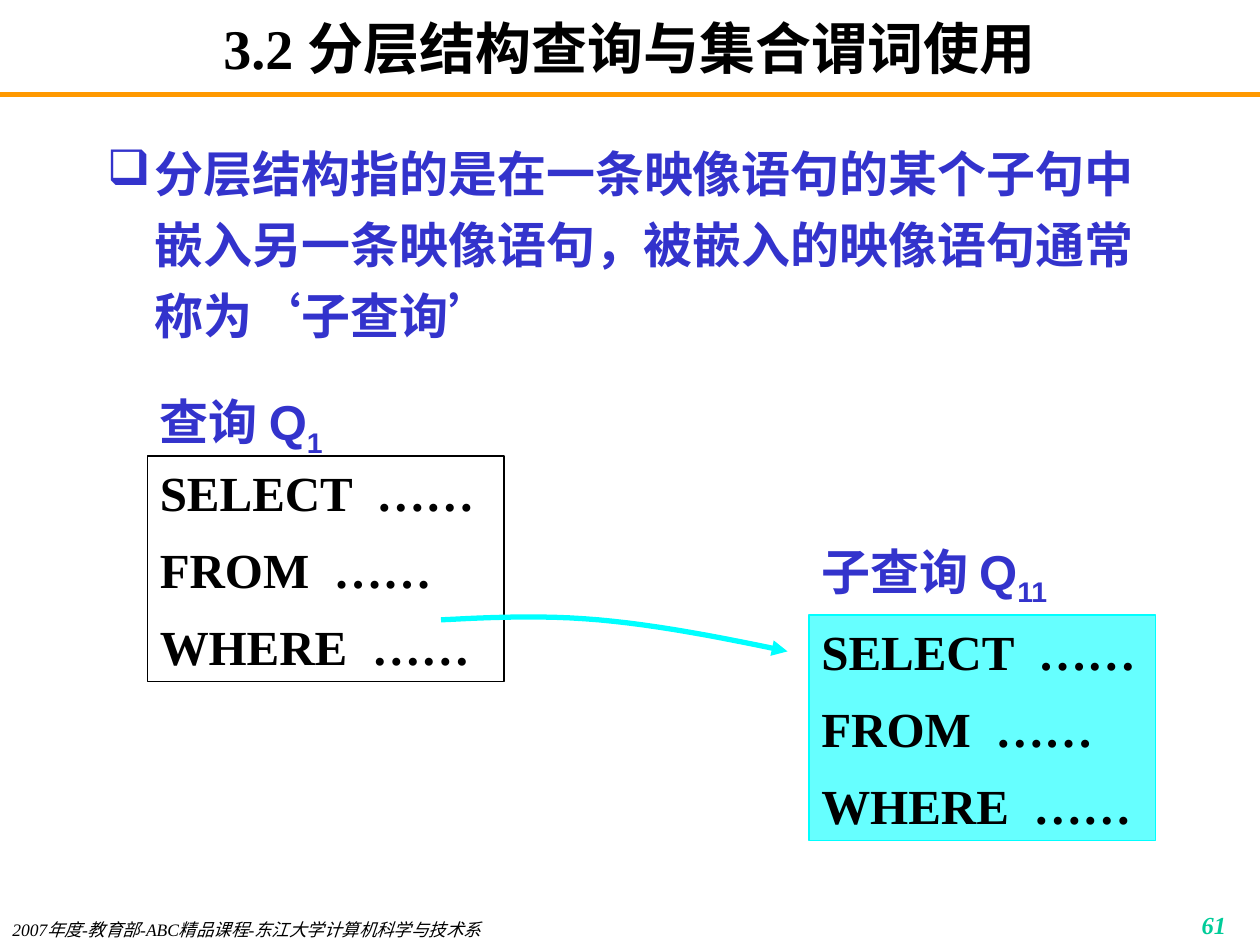
from dataclasses import dataclass
from typing import Optional

from lxml.etree import SubElement
from pptx import Presentation
from pptx.dml.color import RGBColor
from pptx.enum.shapes import MSO_CONNECTOR, MSO_SHAPE
from pptx.enum.text import MSO_ANCHOR, PP_ALIGN
from pptx.oxml.ns import qn
from pptx.util import Inches, Pt

COLORS = {
    "black": "000000",
    "blue": "3333CC",
    "orange": "FF9900",
    "green": "00CC99",
    "cyan": "00FFFF",
    "pale_cyan": "66FFFF",
}
SERIF = "Times New Roman"
SANS = "Arial"


@dataclass
class Label:
    text: str
    box: tuple[float, float, float, float]
    size: float
    color: str = "black"
    font: str = SERIF
    bold: bool = True
    italic: bool = False
    align: PP_ALIGN = PP_ALIGN.LEFT
    anchor: MSO_ANCHOR = MSO_ANCHOR.TOP
    space_before: float = 0
    inset_y: float = 0.05
    subscript: str = ""


@dataclass
class Query:
    name: str
    index: str
    left: float
    name_top: float
    top: float
    width: float
    line: str
    fill: Optional[str] = None


LABELS = [
    Label("2007年度-教育部-ABC精品课程-东江大学计算机科学与技术系", (0, 7.29, 6.26, 0.21), 10,
          bold=False, italic=True, inset_y=0),
    Label("61", (7.75, 7.17, 2.08, 0.25), 14, "green", italic=True, align=PP_ALIGN.RIGHT),
    Label("3.2 分层结构查询与集合谓词使用", (0.75, 0.08, 8.5, 0.58), 32,
          align=PP_ALIGN.CENTER, anchor=MSO_ANCHOR.MIDDLE),
]
QUERIES = [
    Query("查询 Q", "1", 1.17, 3.06, 3.62, 2.83, "black"),
    Query("子查询 Q", "11", 6.42, 4.25, 4.88, 2.75, "cyan", "pale_cyan"),
]
CLAUSES = "\n".join(f"{word}  ……" for word in ("SELECT", "FROM", "WHERE"))
DEFINITION = [
    ("分层结构指的是", SERIF),
    ("在一条映像语句的某个子句中嵌入另一条映像语句，被嵌入的映像语句通常称为‘子查询’", SANS),
]
ARROW_CURVES = [
    ((3.5, 4.92), (3.9, 4.9), (4.29, 4.88), (4.75, 4.92)),
    ((4.75, 4.92), (5.21, 4.96), (5.73, 5.06), (6.25, 5.17)),
]
CURVE_STEPS = 12


def rgb(name: str) -> RGBColor:
    return RGBColor.from_string(COLORS[name])


def style_line(s, color: str, width: float) -> None:
    s.line.color.rgb = rgb(color)
    s.line.width = Pt(width)


def fill_text(s, label: Label) -> None:
    tf = s.text_frame
    tf.text = label.text
    tf.word_wrap = True
    tf.vertical_anchor = label.anchor
    tf.margin_left = tf.margin_right = Inches(0.1)
    tf.margin_top = tf.margin_bottom = Inches(label.inset_y)
    for p in tf.paragraphs:
        p.alignment = label.align
        p.space_before = Pt(label.space_before)
        p.font.size = Pt(label.size)
        p.font.name = label.font
        p.font.bold = label.bold
        p.font.italic = label.italic
        p.font.color.rgb = rgb(label.color)
    if label.subscript:
        r = tf.paragraphs[-1].add_run()
        r.text = label.subscript
        r.font._element.set("baseline", "-25000")


def add_label(shapes, label: Label):
    s = shapes.add_textbox(*map(Inches, label.box))
    fill_text(s, label)
    return s


def add_rule(shapes) -> None:
    s = shapes.add_connector(MSO_CONNECTOR.STRAIGHT, 0, Inches(0.75), Inches(10), Inches(0.75))
    style_line(s, "orange", 3)
    SubElement(s._element.spPr, qn("a:effectLst"))


def add_definition(shapes) -> None:
    s = add_label(shapes, Label("", (0.75, 1, 8.5, 5.92), 28, "blue", space_before=7))
    p = s.text_frame.paragraphs[0]
    p.line_spacing = 1.2
    for text, font in DEFINITION:
        r = p.add_run()
        r.text = text
        r.font.name = font
    pPr = p._p.get_or_add_pPr()
    pPr.set("marL", str(Inches(0.38)))
    pPr.set("indent", str(-Inches(0.38)))
    bullet = pPr.makeelement(qn("a:buChar"), {"char": "❑"})
    pPr.insert_element_before(bullet, "a:tabLst", "a:defRPr", "a:extLst")


def add_query(shapes, query: Query) -> None:
    box = (query.left, query.top, query.width, 1.79)
    s = shapes.add_shape(MSO_SHAPE.RECTANGLE, *map(Inches, box))
    s.shadow.inherit = False
    style_line(s, query.line, 0.74)
    if query.fill:
        s.fill.solid()
        s.fill.fore_color.rgb = rgb(query.fill)
    else:
        s.fill.background()
    fill_text(s, Label(CLAUSES, box, 28, space_before=10.5))
    add_label(shapes, Label(query.name, (query.left, query.name_top, query.width, 0.63), 28,
                            "blue", SANS, space_before=17.5, subscript=query.index))


def curve_point(curve, t: float) -> tuple[int, int]:
    weights = ((1 - t) ** 3, 3 * t * (1 - t) ** 2, 3 * t ** 2 * (1 - t), t ** 3)
    x, y = (sum(w * c for w, c in zip(weights, axis)) for axis in zip(*curve))
    return Inches(x), Inches(y)


def add_arrow(shapes) -> None:
    points = [curve_point(curve, i / CURVE_STEPS)
              for curve in ARROW_CURVES for i in range(1, CURVE_STEPS + 1)]
    builder = shapes.build_freeform(*curve_point(ARROW_CURVES[0], 0))
    builder.add_line_segments(points, close=False)
    s = builder.convert_to_shape()
    s.shadow.inherit = False
    s.fill.background()
    style_line(s, "cyan", 3)
    SubElement(s.line._get_or_add_ln(), qn("a:tailEnd"), type="triangle")


prs = Presentation()
prs.slide_width = Inches(10)
prs.slide_height = Inches(7.5)
shapes = prs.slides.add_slide(prs.slide_layouts[6]).shapes
add_rule(shapes)
for label in LABELS:
    add_label(shapes, label)
add_definition(shapes)
for query in QUERIES:
    add_query(shapes, query)
add_arrow(shapes)
prs.save("out.pptx")
